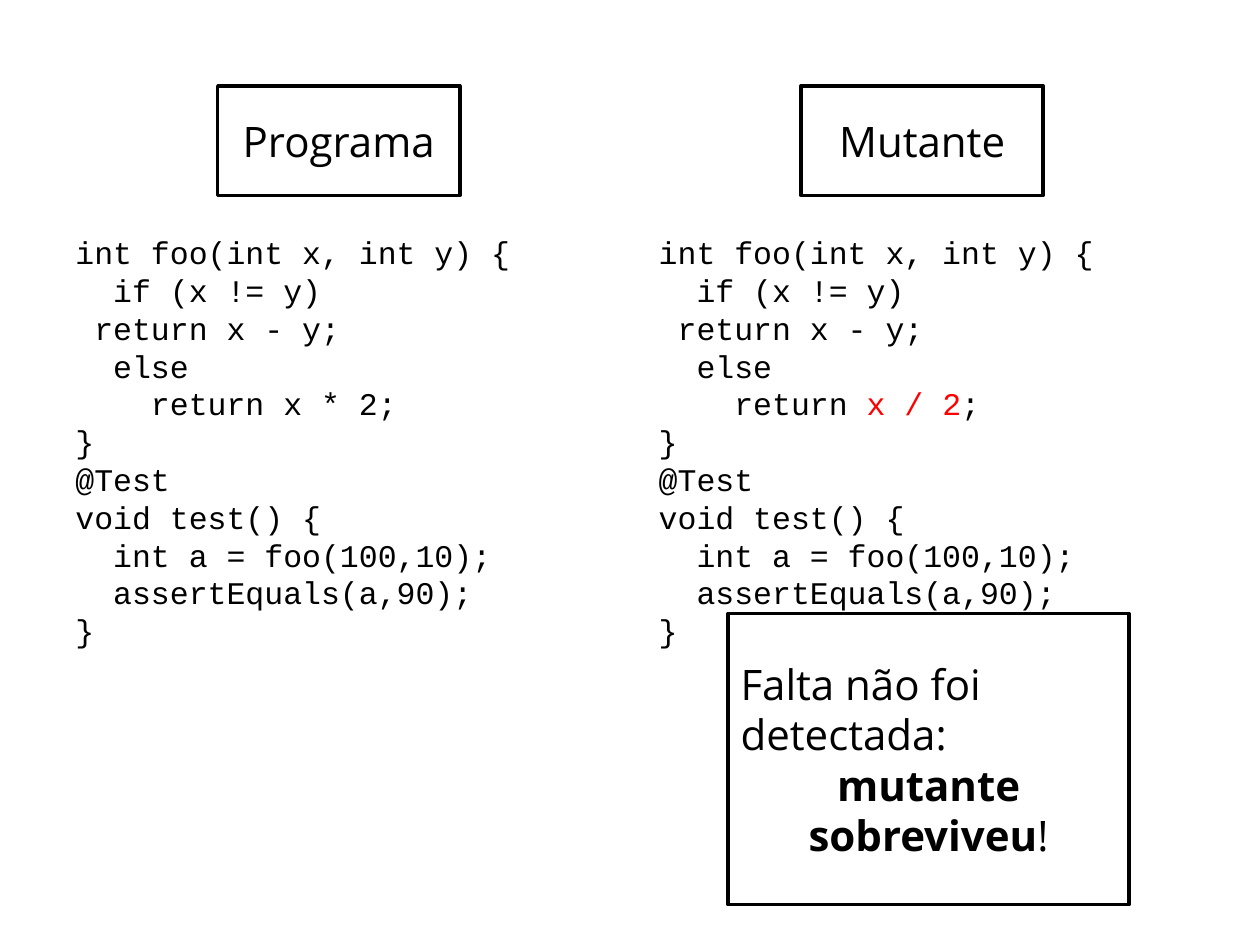
from pptx import Presentation
from pptx import util as u
from pptx.dml.color import RGBColor
from pptx.enum import shapes, text

BLACK, WHITE, RED = "000000", "FFFFFF", "FF0000"
CODE_FONT, LABEL_FONT = "Courier New", "Open Sans"
COLUMN_STEP = 11.76
CODE = """int foo(int x, int y) {
  if (x != y)
 return x - y;
  else
    return {result};
}
@Test
void test() {
  int a = foo(100,10);
  assertEquals(a,90);
}"""


def color(value):
    return RGBColor.from_string(value)


def set_frame(shape, anchor):
    frame = shape.text_frame
    frame.word_wrap = True
    frame.vertical_anchor = anchor
    frame.margin_left = frame.margin_right = u.Cm(0.25)
    frame.margin_top = frame.margin_bottom = u.Cm(0.25)
    return frame


def format_paragraph(para, font, size, align):
    para.alignment = align
    para.line_spacing = u.Pt(size * 1.2)
    para.font.name = font
    para.font.size = u.Pt(size)
    para.font.color.rgb = color(BLACK)


def add_span(para, words):
    span = para.add_run()
    span.text = words
    return span


def next_paragraph(frame, index):
    return frame.add_paragraph() if index else frame.paragraphs[0]


def add_code(page, left, result, result_color):
    box = page.shapes.add_textbox(u.Cm(left), u.Cm(4.45), u.Cm(11.1), u.Cm(13.8))
    frame = set_frame(box, text.MSO_ANCHOR.TOP)
    for index, line in enumerate(CODE.split("\n")):
        para = next_paragraph(frame, index)
        format_paragraph(para, CODE_FONT, 18, text.PP_ALIGN.LEFT)
        before, mark, after = line.partition("{result}")
        add_span(para, before)
        if mark:
            add_span(para, result).font.color.rgb = color(result_color)
            add_span(para, after)


def add_box(page, left, top, width, height, paragraphs):
    box = page.shapes.add_shape(shapes.MSO_SHAPE.RECTANGLE,
                                u.Cm(left), u.Cm(top), u.Cm(width), u.Cm(height))
    box.shadow.inherit = False
    box.fill.solid()
    box.fill.fore_color.rgb = color(WHITE)
    box.line.color.rgb = color(BLACK)
    box.line.width = u.Pt(2)
    frame = set_frame(box, text.MSO_ANCHOR.MIDDLE)
    for index, (align, spans) in enumerate(paragraphs):
        para = next_paragraph(frame, index)
        format_paragraph(para, LABEL_FONT, 24, align)
        for words, bold in spans:
            add_span(para, words).font.bold = bold


def main():
    deck = Presentation()
    deck.slide_width, deck.slide_height = u.Cm(25.4), u.Cm(19.05)
    page = deck.slides.add_slide(deck.slide_layouts[6])
    left, center = text.PP_ALIGN.LEFT, text.PP_ALIGN.CENTER
    columns = [("Programa", "x * 2", BLACK), ("Mutante", "x / 2", RED)]
    for index, (label, result, result_color) in enumerate(columns):
        shift = index * COLUMN_STEP
        add_code(page, 1.27 + shift, result, result_color)
        add_box(page, 4.39 + shift, 1.73, 4.88, 2.21, [(center, [(label, False)])])
    add_box(page, 14.68, 12.37, 8.08, 5.87, [
        (left, [("Falta não foi detectada:", False)]),
        (center, [("mutante sobreviveu", True), ("!", False)]),
    ])
    deck.save("out.pptx")


if __name__ == "__main__":
    main()
